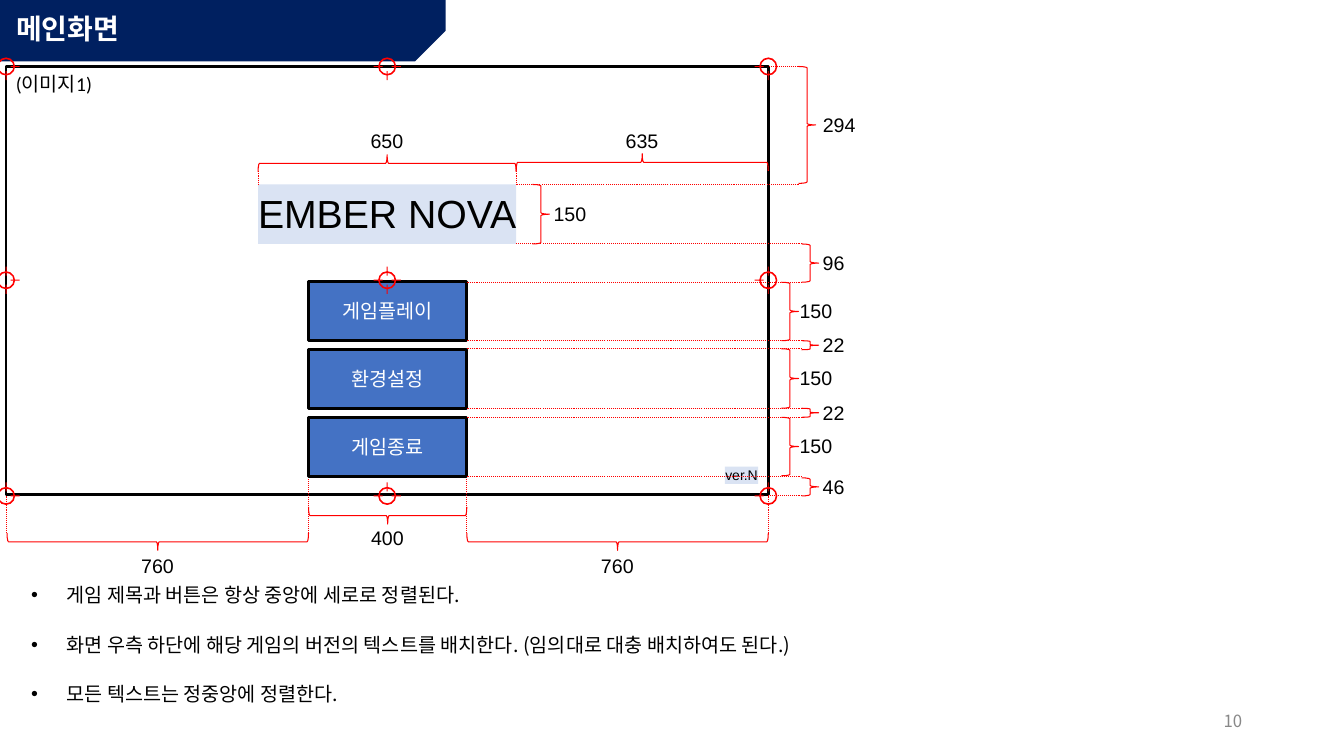
import pptx
import pptx.util
import pptx.dml.color
import pptx.enum.dml
import pptx.enum.shapes
import pptx.enum.text
import pptx.oxml.ns
import lxml.etree
from dataclasses import dataclass

Inches = pptx.util.Inches
Pt = pptx.util.Pt
Shape = pptx.enum.shapes.MSO_SHAPE
Anchor = pptx.enum.text.MSO_ANCHOR
Align = pptx.enum.text.PP_ALIGN
qn = pptx.oxml.ns.qn


@dataclass(frozen=True)
class Theme:
    navy: str = "002060"
    blue: str = "4472C4"
    pale: str = "DAE3F3"
    red: str = "FF0000"
    black: str = "000000"
    white: str = "FFFFFF"
    gray: str = "888888"
    korean: str = "Noto Sans CJK KR"
    latin: str = "Arial"
    caption: str = "Calibri"
    logo_size: int = 28
    title_size: int = 20
    text_size: int = 14
    number_size: int = 12
    version_size: int = 10
    frame_line: float = 2
    guide_line: float = 0.75


theme = Theme()
rgb = pptx.dml.color.RGBColor.from_string

presentation = pptx.Presentation()
presentation.slide_width = Inches(13.33)
presentation.slide_height = Inches(7.5)
slide = presentation.slides.add_slide(presentation.slide_layouts[1])


def add_box(kind, box, fill=None, line=None, width=theme.frame_line):
    shape = slide.shapes.add_shape(kind, *map(Inches, box))
    shape.shadow.inherit = False
    if fill:
        shape.fill.solid()
        shape.fill.fore_color.rgb = rgb(fill)
    else:
        shape.fill.background()
    if line:
        shape.line.color.rgb = rgb(line)
        shape.line.width = Pt(width)
    else:
        shape.line.fill.background()
    return shape


def write(shape, text, size, font, color, align=Align.LEFT, anchor=Anchor.MIDDLE, margins=(0.1, 0.05), wrap=True):
    frame = shape.text_frame
    frame.word_wrap = wrap
    frame.auto_size = pptx.enum.text.MSO_AUTO_SIZE.NONE
    frame.vertical_anchor = anchor
    frame.margin_left = frame.margin_right = Inches(margins[0])
    frame.margin_top = frame.margin_bottom = Inches(margins[1])
    for index, line in enumerate(text.split("\n")):
        paragraph = frame.add_paragraph() if index else frame.paragraphs[0]
        paragraph.alignment = align
        run = paragraph.add_run()
        run.text = line
        run.font.size = Pt(size)
        run.font.name = font
        run.font.color.rgb = rgb(color)


banner = add_box(Shape.SNIP_1_RECTANGLE, (0, 0, 4.42, 0.61), theme.navy)
banner.adjustments[0] = 0.5
banner.rotation = 180
banner.element.spPr.find(qn("a:xfrm")).set("flipH", "1")

title = slide.shapes.title
title.left, title.top, title.width, title.height = map(Inches, (0.06, 0.07, 4.03, 0.46))
write(title, "메인화면", theme.title_size, theme.korean, theme.white)
title.text_frame.paragraphs[0].line_spacing = 0.9
title.text_frame.paragraphs[0].runs[0].font.bold = True
title.element.addprevious(banner.element)

rules = slide.placeholders[1]
rules.left, rules.top, rules.width, rules.height = map(Inches, (0.06, 5.62, 13.17, 1.7))
write(
    rules,
    "게임 제목과 버튼은 항상 중앙에 세로로 정렬된다.\n"
    "화면 우측 하단에 해당 게임의 버전의 텍스트를 배치한다. (임의대로 대충 배치하여도 된다.)\n"
    "모든 텍스트는 정중앙에 정렬한다.",
    theme.text_size, theme.korean, theme.black, anchor=Anchor.TOP,
)
for paragraph in rules.text_frame.paragraphs:
    paragraph.line_spacing = 1.5
    paragraph.space_before = Pt(10)
    properties = paragraph._p.get_or_add_pPr()
    properties.set("marL", str(Inches(0.5)))
    properties.set("indent", str(Inches(-0.35)))
    bullet_color = lxml.etree.SubElement(properties, qn("a:buClr"))
    lxml.etree.SubElement(bullet_color, qn("a:srgbClr")).set("val", theme.black)
    lxml.etree.SubElement(properties, qn("a:buFont")).set("typeface", theme.latin)
    lxml.etree.SubElement(properties, qn("a:buChar")).set("char", "•")

page_number = slide.shapes.add_textbox(*map(Inches, (9.42, 6.95, 3, 0.4)))
write(page_number, "10", theme.number_size, theme.korean, theme.gray, Align.RIGHT)

left, top, right, bottom = 0.06, 0.66, 7.62, 4.92
screen = add_box(Shape.RECTANGLE, (left, top, right - left, 4.25), line=theme.black)
write(screen, "(이미지1)", theme.text_size, theme.caption, theme.black, anchor=Anchor.TOP)

game_title = add_box(Shape.RECTANGLE, (2.56, 1.83, 2.56, 0.59), theme.pale)
write(game_title, "EMBER NOVA", theme.logo_size, theme.latin, theme.black,
      Align.CENTER, Anchor.TOP, (0, 0.05), False)

for index, name in enumerate(("게임플레이", "환경설정", "게임종료")):
    button = add_box(Shape.RECTANGLE, (3.06, 2.79 + index * 0.675, 1.57, 0.59), theme.blue, theme.black)
    write(button, name, theme.text_size, theme.caption, theme.white, Align.CENTER)

version = add_box(Shape.RECTANGLE, (7.19, 4.63, 0.33, 0.17), theme.pale)
write(version, "ver.N", theme.version_size, theme.latin, theme.black,
      Align.CENTER, margins=(0, 0), wrap=False)

brace_width = 0.17
heights = [
    ("294", 7.92, 8.12, 0.66, 1.82),
    ("150", 5.28, 5.45, 1.83, 2.42),
    ("96", 7.95, 8.12, 2.42, 2.8),
    ("150", 7.75, 7.89, 2.8, 3.38),
    ("22", 7.95, 8.12, 3.38, 3.47),
    ("150", 7.75, 7.89, 3.46, 4.05),
    ("22", 7.95, 8.12, 4.05, 4.14),
    ("150", 7.75, 7.89, 4.14, 4.72),
    ("46", 7.95, 8.12, 4.74, 4.92),
]
widths = [
    ("650", 1.62, 1.28, 2.56, 5.12, 270),
    ("635", 1.61, 1.28, 5.12, 7.62, 270),
    ("400", 5.115, 5.22, 3.06, 4.63, 90),
    ("760", 5.375, 5.5, 0.07, 3.06, 90),
    ("760", 5.375, 5.5, 4.63, 7.62, 90),
]
braces = []
for value, x, label_x, start, end in heights:
    braces.append((value, x + brace_width / 2, (start + end) / 2, end - start, 0,
                   label_x, (start + end) / 2 - 0.12))
for value, y, label_y, start, end, rotation in widths:
    braces.append((value, (start + end) / 2, y, end - start, rotation,
                   (start + end) / 2 - 0.205, label_y))
for value, x, y, length, rotation, label_x, label_y in braces:
    brace = add_box(Shape.RIGHT_BRACE, (x - brace_width / 2, y - length / 2, brace_width, length),
                    line=theme.red, width=theme.guide_line)
    brace.rotation = rotation
    label_width = 0.41 if len(value) == 3 else 0.3
    label = slide.shapes.add_textbox(*map(Inches, (label_x, label_y, label_width, 0.24)))
    write(label, value, theme.text_size, theme.latin, theme.black,
          anchor=Anchor.TOP, margins=(0.04, 0), wrap=False)

guides = [(7.95, y, 4.63, y) for y in (2.8, 3.38, 3.46, 4.05, 4.14, 4.73)]
guides += [(7.92, top, right, top), (7.92, 1.83, 5.12, 1.83),
           (7.95, 2.42, 5.12, 2.42), (7.95, bottom, right, bottom)]
guides += [(x, 5.29, x, 4.74) for x in (3.06, 4.63)]
guides += [(x, 5.29, x, bottom) for x in (left, right)]
guides += [(x, 1.7, x, 1.83) for x in (2.56, 5.12)]
for points in guides:
    guide = slide.shapes.add_connector(pptx.enum.shapes.MSO_CONNECTOR.STRAIGHT, *map(Inches, points))
    guide.line.color.rgb = rgb(theme.red)
    guide.line.width = Pt(theme.guide_line)
    guide.line.dash_style = pptx.enum.dml.MSO_LINE.ROUND_DOT
    lxml.etree.SubElement(guide.element.spPr, qn("a:effectLst"))

ring_size, tick_length, tick_width = 0.18, 0.09, 0.01
columns = (left, 3.84, right)
rows = (top, 2.78, bottom)
for column, x in enumerate(columns):
    for row, y in enumerate(rows):
        ring = add_box(Shape.DONUT, (x - ring_size / 2, y - ring_size / 2, ring_size, ring_size), theme.red)
        ring.adjustments[0] = 0.09
        for step_x, step_y in ((-1, 0), (1, 0), (0, -1), (0, 1)):
            if 0 <= column + step_x <= 2 and 0 <= row + step_y <= 2:
                width, height = (tick_length, tick_width) if step_x else (tick_width, tick_length)
                add_box(Shape.RECTANGLE, (x + step_x * ring_size / 2 - width / 2,
                                          y + step_y * ring_size / 2 - height / 2, width, height), theme.red)

presentation.save("out.pptx")
